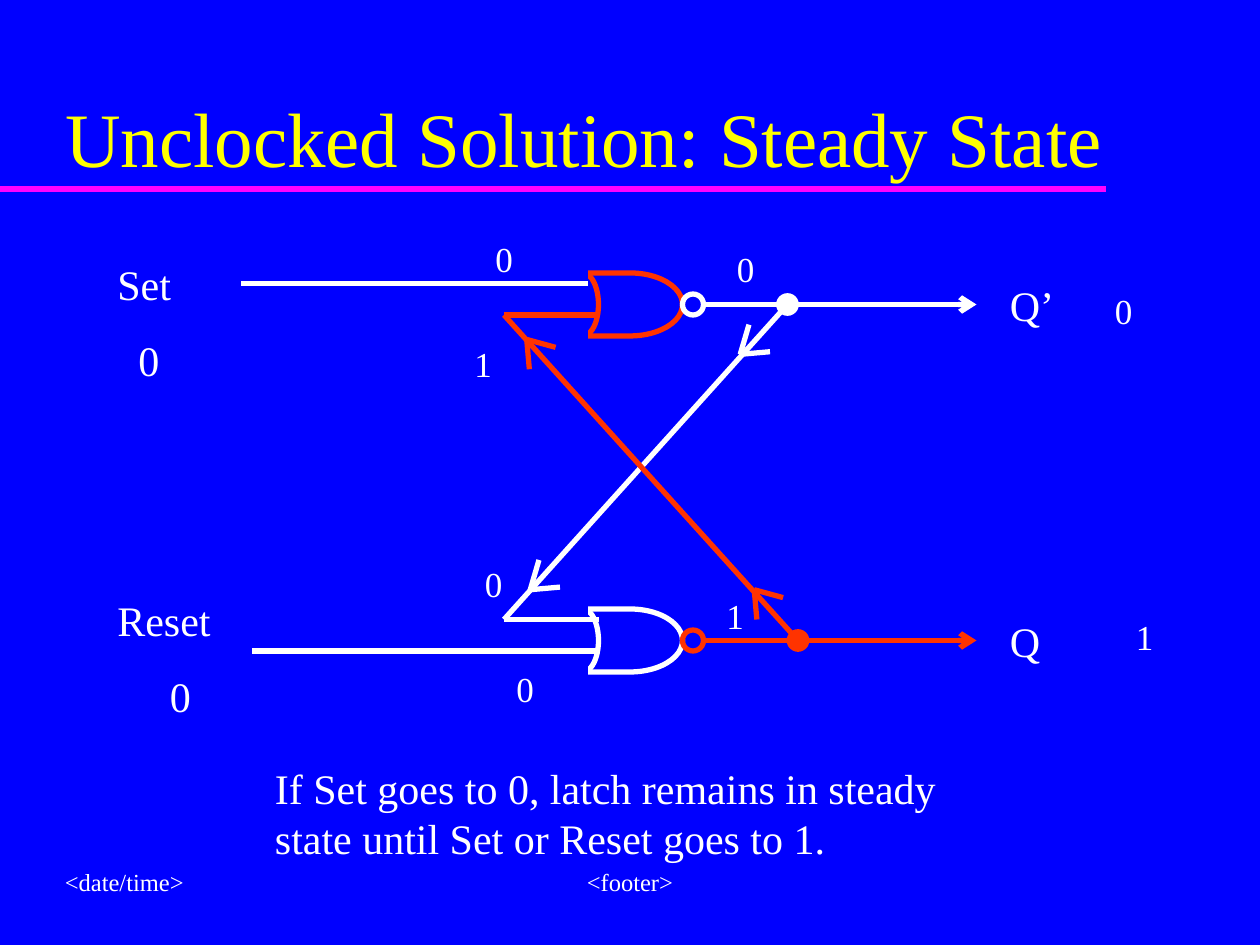
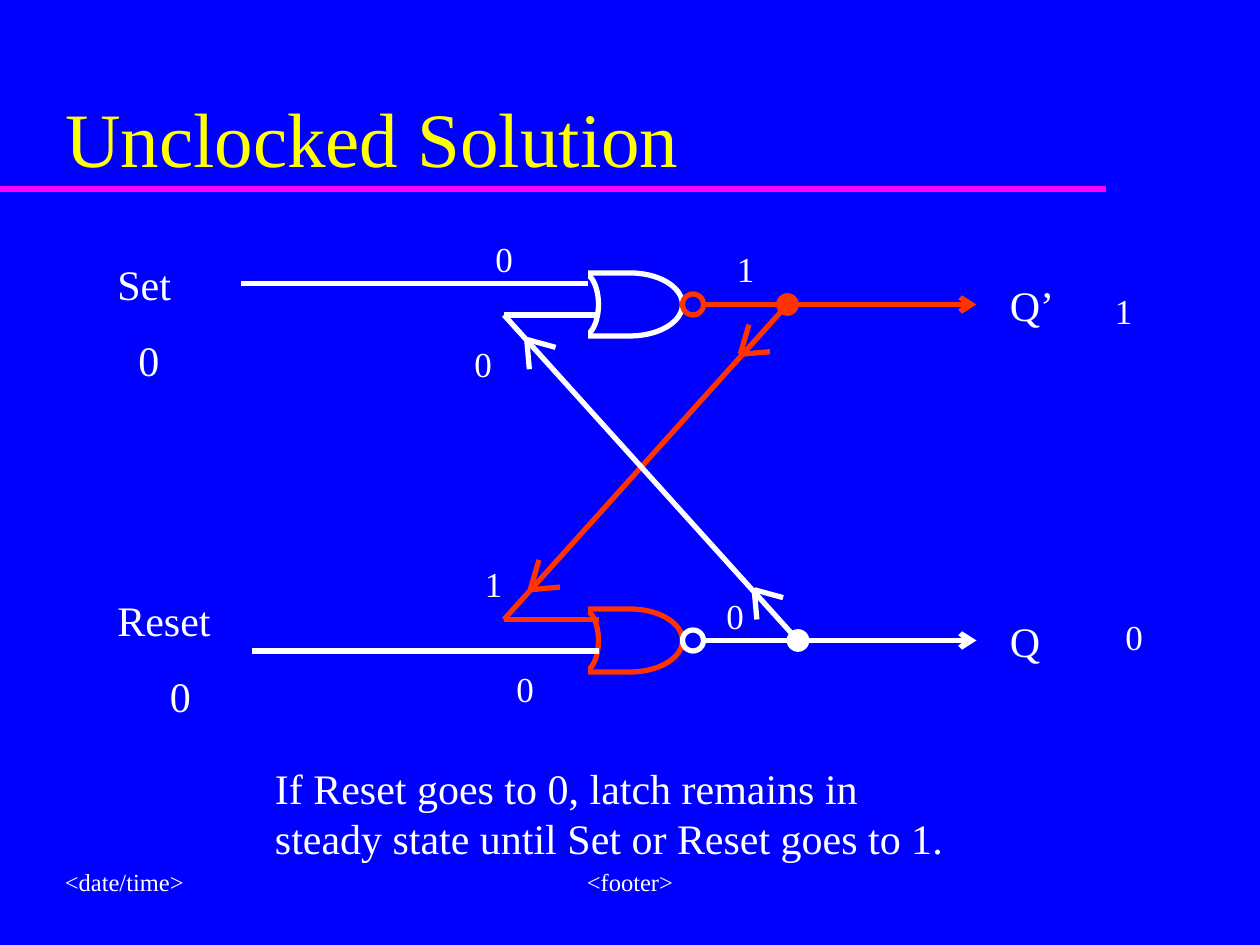
"""Build two slides showing the steady states of an unclocked NOR latch."""
from lxml import etree
from pptx import Presentation
from pptx import util as u
from pptx.dml.color import RGBColor
from pptx.enum import shapes, text
from pptx.oxml.ns import qn

Pt = u.Pt
BLUE = RGBColor(0x00, 0x00, 0xFF)
WHITE = RGBColor(0xFF, 0xFF, 0xFF)
YELLOW = RGBColor(0xFF, 0xFF, 0x00)
MAGENTA = RGBColor(0xFF, 0x00, 0xFF)
ORANGE = RGBColor(0xFF, 0x33, 0x00)
SIGNAL = {0: WHITE, 1: ORANGE}
FONT = "Times New Roman"
DELAY = shapes.MSO_SHAPE.FLOWCHART_DELAY
OVAL = shapes.MSO_SHAPE.OVAL
RECT = shapes.MSO_SHAPE.RECTANGLE

TOP, BOTTOM = 156, 348
FEED_X = 288
TOP_FEED, BOTTOM_FEED = TOP + 24, BOTTOM + 6
DOWN_BARBS = [(17, -1.5), (5, -17)]
UP_BARBS = [(1.5, 17), (16.5, 4.5)]

STATES = [
    ("Unclocked Solution: Steady State", 1, 642,
     "If Set goes to 0, latch remains in steady state until Set or Reset goes to 1."),
    ("Unclocked Solution", 0, 636,
     "If Reset goes to 0, latch remains in steady state until Set or Reset goes to 1."),
]


def add_line(s, x1, y1, x2, y2, color, width=3, arrow=False):
    c = s.shapes.add_connector(shapes.MSO_CONNECTOR.STRAIGHT,
                               Pt(x1), Pt(y1), Pt(x2), Pt(y2))
    c.line.color.rgb = color
    c.line.width = Pt(width)
    if arrow:
        etree.SubElement(c.line._get_or_add_ln(), qn("a:tailEnd"), type="arrow")
    etree.SubElement(c._element.spPr, qn("a:effectLst"))


def add_text(s, x, y, w, h, lines, size=24, before=15, indent=0):
    tf = s.shapes.add_textbox(Pt(x), Pt(y), Pt(w), Pt(h)).text_frame
    tf.word_wrap = True
    tf.text = "\n".join(lines)
    for p in tf.paragraphs:
        p.space_before = Pt(before)
        p.runs[0].font.size = Pt(size)
        p.runs[0].font.name = FONT
        p.runs[0].font.color.rgb = WHITE
    if indent:
        p._p.get_or_add_pPr().set("marL", str(Pt(indent)))
    return tf


prs = Presentation()
prs.slide_width, prs.slide_height = Pt(720), Pt(540)
fill = prs.slide_master.background.fill
fill.solid()
fill.fore_color.rgb = BLUE

for title, q, q_x, note in STATES:
    nq = 1 - q
    s = prs.slides.add_slide(prs.slide_layouts[5])

    sp = s.shapes.title
    sp.left, sp.top, sp.width, sp.height = Pt(30), Pt(21), Pt(612), Pt(87)
    tf = sp.text_frame
    tf.text = title
    tf.auto_size = text.MSO_AUTO_SIZE.NONE
    tf.vertical_anchor = text.MSO_ANCHOR.BOTTOM
    p = tf.paragraphs[0]
    p.alignment = text.PP_ALIGN.LEFT
    r = p.runs[0]
    r.font.size, r.font.name = Pt(44), FONT
    r.font.color.rgb = YELLOW

    add_line(s, 0, 108, 632, 108, MAGENTA, 4)
    for x, w, label, align in [(246, 228, "<footer>", text.PP_ALIGN.CENTER),
                               (30, 150, "<date/time>", text.PP_ALIGN.LEFT)]:
        tf = add_text(s, x, 486, w, 36, [label], 14, 0)
        tf.vertical_anchor = text.MSO_ANCHOR.MIDDLE
        tf.paragraphs[0].alignment = align

    rows = [
        (TOP, nq, q, 450, (138, 336, TOP + 6), TOP_FEED, BOTTOM_FEED,
         [(303, 337), (423, 202.5)], DOWN_BARBS),
        (BOTTOM, q, nq, 456, (144, 342, BOTTOM + 24), BOTTOM_FEED, TOP_FEED,
         [(301, 194), (431, 337)], UP_BARBS),
    ]
    for y, out, feed, dot_x, wire, feed_y, target_y, tips, barbs in rows:
        mid = y + 18
        parts = [
            (DELAY, 330, y, 60, 36, BLUE, SIGNAL[feed], 3),
            (OVAL, 324, y, 18, 36, BLUE, SIGNAL[feed], 3),
            (RECT, 318, y - 6, 18, 54, BLUE, None, 0),
            (OVAL, 390, mid - 6, 12, 12, None, SIGNAL[out], 3),
            (OVAL, dot_x - 6, mid - 6, 12, 12, SIGNAL[out], SIGNAL[out], 1),
        ]
        for kind, x, top, w, h, color, edge, width in parts:
            sp = s.shapes.add_shape(kind, Pt(x), Pt(top), Pt(w), Pt(h))
            sp.shadow.inherit = False
            if color is None:
                sp.fill.background()
            else:
                sp.fill.solid()
                sp.fill.fore_color.rgb = color
            if edge is None:
                sp.line.fill.background()
            else:
                sp.line.color.rgb = edge
                sp.line.width = Pt(width)

        start, end, wire_y = wire
        add_line(s, start, wire_y, end, wire_y, WHITE)
        add_line(s, FEED_X, feed_y, 342, feed_y, SIGNAL[feed])
        add_line(s, 402, mid, dot_x, mid, SIGNAL[out])
        add_line(s, dot_x, mid, 558, mid, SIGNAL[out], arrow=True)
        add_line(s, dot_x, mid, FEED_X, target_y, SIGNAL[out])
        for x, tip_y in tips:
            for dx, dy in barbs:
                add_line(s, x, tip_y, x + dx, tip_y + dy, SIGNAL[out])

    add_text(s, 60, 144, 78, 80, ["Set", "0"], indent=12)
    add_text(s, 60, 336, 78, 80, ["Reset", "0"], indent=30)
    add_text(s, 570, TOP, 78, 36, ["Q’"])
    add_text(s, 570, BOTTOM, 78, 36, ["Q"])
    add_text(s, 150, 432, 414, 65, [note])

    for x, y, value in [(276, 132, 0), (288, 378, 0), (270, 318, nq), (264, 192, q),
                        (414, 138, nq), (408, 336, q), (630, 162, nq), (q_x, 348, q)]:
        add_text(s, x, y, 24, 32, [str(value)], 20, 12.5)

prs.save("out.pptx")
